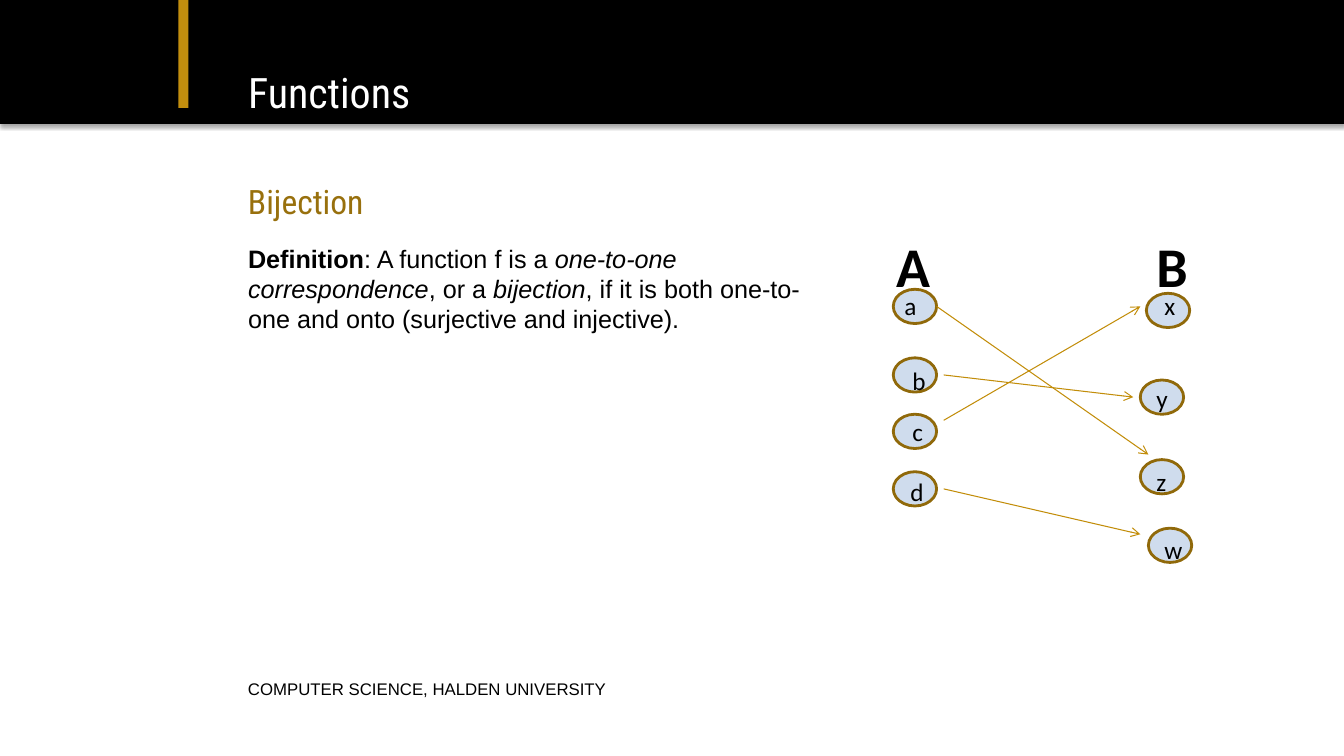
"""Build the slide that defines a bijection and maps set A onto set B."""
from lxml import etree
from pptx import Presentation
from pptx.dml.color import RGBColor
from pptx.enum.shapes import MSO_CONNECTOR, MSO_SHAPE
from pptx.enum.text import MSO_ANCHOR, MSO_AUTO_SIZE, PP_ALIGN
from pptx.oxml.ns import qn
from pptx.util import Inches, Pt

RECTANGLE = MSO_SHAPE.RECTANGLE
NODE = MSO_SHAPE.FLOWCHART_CONNECTOR
STRAIGHT = MSO_CONNECTOR.STRAIGHT
TOP = MSO_ANCHOR.TOP
LEFT = PP_ALIGN.LEFT
NO_AUTOFIT = MSO_AUTO_SIZE.NONE

BLACK = RGBColor(0x00, 0x00, 0x00)
WHITE = RGBColor(0xFF, 0xFF, 0xFF)
GOLD = RGBColor(0xC2, 0x8E, 0x0E)
ARROW_GOLD = RGBColor(0xC2, 0x8D, 0x09)
HEADING_GOLD = RGBColor(0x98, 0x70, 0x0D)
NODE_LINE = RGBColor(0x90, 0x69, 0x0A)
NODE_FILL = RGBColor(0x4F, 0x81, 0xBD)


def add_xml(parent, tag, **attributes):
    return etree.SubElement(parent, qn(tag), attributes)


def write(box, place, spans, inset=0, space=0, **font):
    box.left, box.top, box.width, box.height = map(Inches, place)
    frame = box.text_frame
    margins = dict.fromkeys(("margin_left", "margin_right"), Inches(inset))
    margins |= dict.fromkeys(("margin_top", "margin_bottom"), Inches(inset / 2))
    layout = {"auto_size": NO_AUTOFIT, "word_wrap": True, "vertical_anchor": TOP}
    for name, value in (margins | layout).items():
        setattr(frame, name, value)
    para = frame.paragraphs[0]
    para.alignment = LEFT
    para.space_before = Pt(space)
    color = font.pop("color", BLACK)
    for text, style in spans:
        span = para.add_run()
        span.text = text
        span.font.color.rgb = color
        for name, value in (font | style).items():
            setattr(span.font, name, value)


deck = Presentation()
deck.slide_width, deck.slide_height = Inches(13.33), Inches(7.5)
page = deck.slides.add_slide(deck.slide_layouts[5])
shapes = page.shapes

for place, color in (((0, -0.01, 13.33, 1.24), BLACK), ((1.77, 0, 0.1, 1.07), GOLD)):
    band = shapes.add_shape(RECTANGLE, *map(Inches, place))
    band.fill.solid()
    band.fill.fore_color.rgb = color
    band.line.fill.background()
    band.shadow.inherit = False
    effects = band.element.spPr.find(qn("a:effectLst"))
    shadow = add_xml(effects, "a:outerShdw", blurRad=str(Pt(3.1)), dist=str(Pt(1.8)),
                     dir="5400000", rotWithShape="0")
    add_xml(add_xml(shadow, "a:srgbClr", val="000000"), "a:alpha", val="35000")

title = shapes.title
shapes.element.append(title.element)
write(title, (2.46, 0.66, 8.89, 0.58), [("Functions", {})],
      name="Roboto Condensed", size=Pt(30), color=WHITE)

definition = [
    ("Definition", {"bold": True}),
    (": A function f is a ", {}),
    ("one-to-one correspondence", {"italic": True}),
    (", or a ", {}),
    ("bijection", {"italic": True}),
    (", if it is both one-to-one and onto (surjective and injective).", {}),
]
texts = [
    ((2.46, 1.79, 8.9, 0.46), [("Bijection", {})], 1,
     {"name": "Roboto Condensed", "size": Pt(24), "color": HEADING_GOLD}),
    ((2.46, 6.73, 6.7, 0.24), [("COMPUTER SCIENCE, HALDEN UNIVERSITY", {})], 0,
     {"name": "Arial", "size": Pt(12)}),
    ((2.46, 2.41, 5.65, 4.8), definition, 2, {"name": "Arial", "size": Pt(18)}),
]
for place, spans, space, font in texts:
    write(shapes.add_textbox(0, 0, 0, 0), place, spans, space=space, **font)

for letter, left in (("A", 8.79), ("B", 11.37)):
    write(shapes.add_textbox(0, 0, 0, 0), (left, 2.25, 0.65, 0.52), [(letter, {})],
          inset=0.1, name="Calibri", size=Pt(40), bold=True)

elements = [
    ("a", (8.86, 2.87), (8.87, 2.83)),
    ("b", (8.86, 3.55), (8.95, 3.58)),
    ("c", (8.86, 4.11), (8.95, 4.08)),
    ("d", (8.86, 4.68), (8.93, 4.68)),
    ("x", (11.37, 2.91), (11.45, 2.83)),
    ("y", (11.31, 3.77), (11.37, 3.75)),
    ("z", (11.31, 4.56), (11.37, 4.58)),
    ("w", (11.39, 5.24), (11.45, 5.25)),
]
for letter, corner, label_corner in elements:
    node = shapes.add_shape(NODE, *map(Inches, (*corner, 0.43, 0.34)))
    node.shadow.inherit = False
    node.fill.solid()
    node.fill.fore_color.rgb = NODE_FILL
    fill_color = node.element.spPr.find(qn("a:solidFill")).find(qn("a:srgbClr"))
    add_xml(fill_color, "a:alpha", val="27000")
    node.line.color.rgb = NODE_LINE
    node.line.width = Pt(2)
    write(shapes.add_textbox(0, 0, 0, 0), (*label_corner, 0.29, 0.27), [(letter, {})],
          inset=0.1, name="Calibri", size=Pt(18))

mappings = [
    (9.29, 3.04, 11.39, 4.51),
    (9.36, 3.72, 11.24, 3.94),
    (9.36, 4.17, 11.31, 3.04),
    (9.36, 4.85, 11.31, 5.3),
]
for ends in mappings:
    arrow = shapes.add_connector(STRAIGHT, *map(Inches, ends))
    arrow.line.color.rgb = ARROW_GOLD
    arrow.line.width = Pt(0.75)
    add_xml(arrow.line._get_or_add_ln(), "a:tailEnd", type="arrow")
    add_xml(arrow.element.spPr, "a:effectLst")

deck.save("out.pptx")
